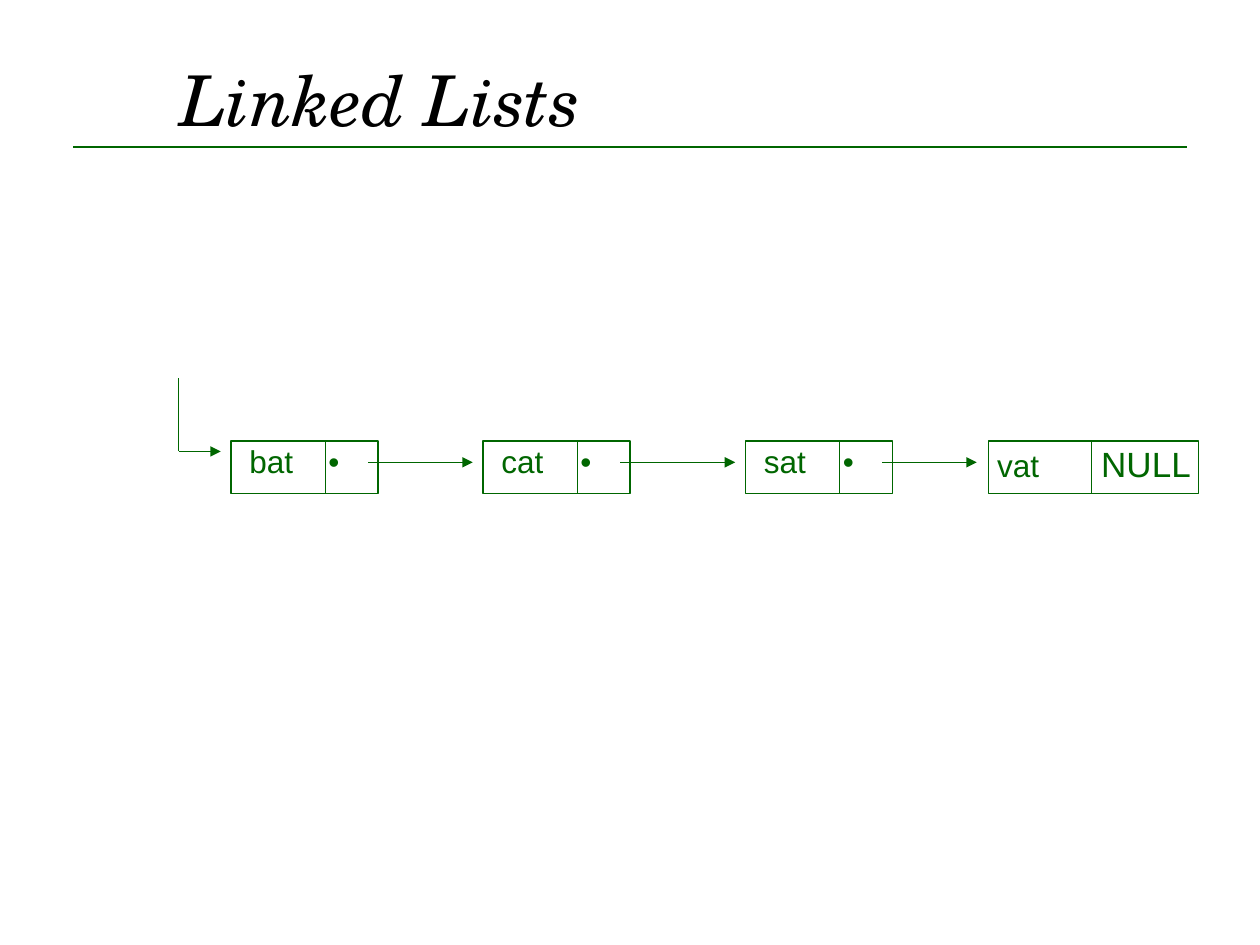
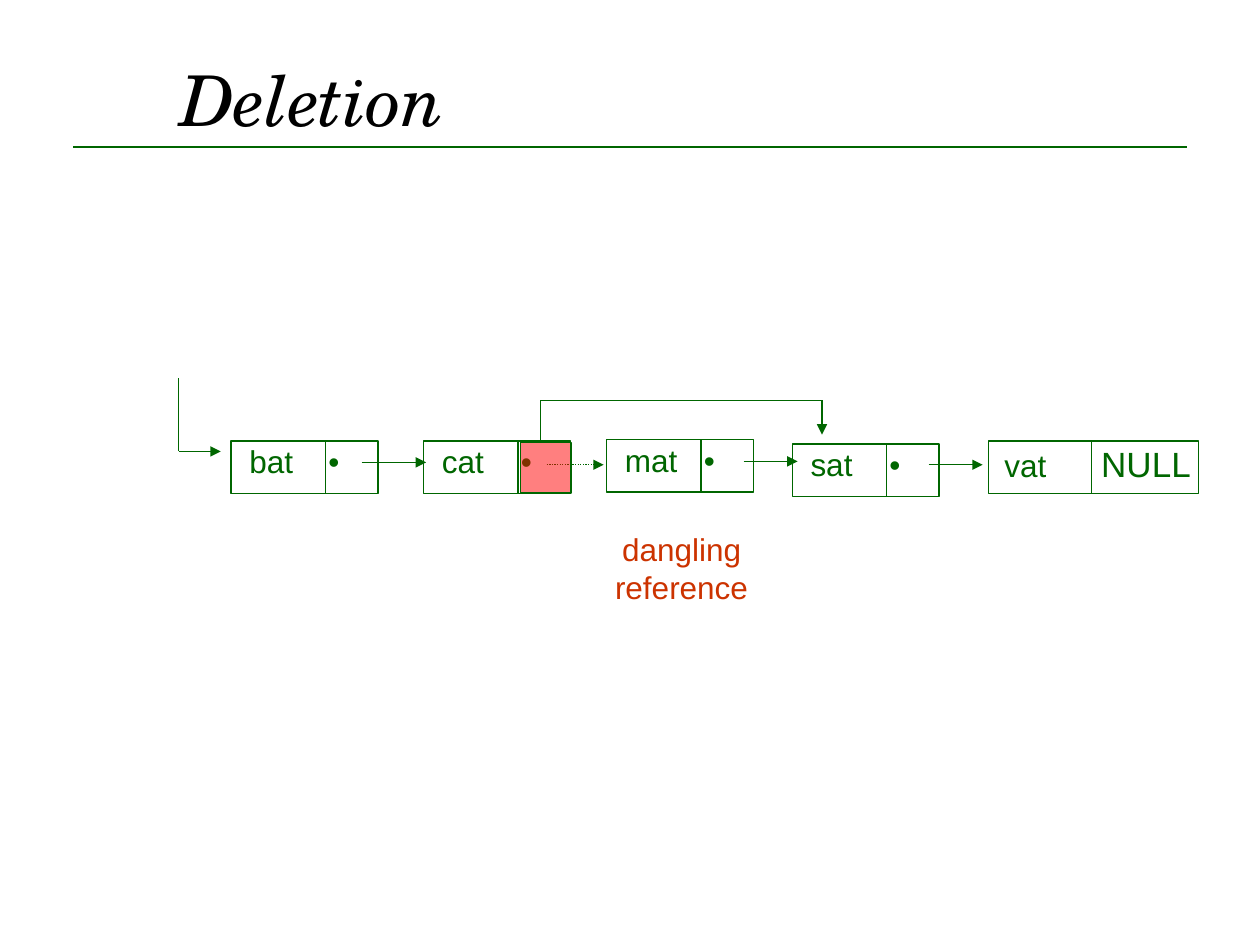
from lxml import etree
from pptx import Presentation
from pptx.dml.color import RGBColor
from pptx.enum.dml import MSO_LINE
from pptx.enum.shapes import MSO_CONNECTOR, MSO_SHAPE
from pptx.enum.text import MSO_ANCHOR, PP_ALIGN
from pptx.oxml.ns import qn
from pptx.util import Cm, Pt

GREEN, RED, RUST, BLACK = "006600", "FF0000", "CC3300", "000000"
LABEL = {"name": "Arial", "size": Pt(18)}
TITLE = {"name": "TeX Gyre Schola", "size": Pt(40), "italic": True, "bold": False}
NODE_H = 1.06
ROW_Y = 8.89
INSET = 0.41
NULL_X = 22.2


def add_line(slide, x1, y1, x2, y2, arrow=False, dash=None, width=0.75):
    """Draw a green line, optionally dashed or with an arrowhead at its end."""
    cxn = slide.shapes.add_connector(
        MSO_CONNECTOR.STRAIGHT, Cm(x1), Cm(y1), Cm(x2), Cm(y2))
    cxn.line.color.rgb = RGBColor.from_string(GREEN)
    cxn.line.width = Pt(width)
    if dash:
        cxn.line.dash_style = dash
    spPr = cxn.element.spPr
    if arrow:
        etree.SubElement(spPr.find(qn("a:ln")), qn("a:tailEnd"), type="triangle")
    etree.SubElement(spPr, qn("a:effectLst"))
    return cxn


def add_run(p, text, color, fmt):
    """Append a run with the given colour and font values."""
    r = p.add_run()
    r.text = text
    r.font.color.rgb = RGBColor.from_string(color)
    for name, value in fmt.items():
        setattr(r.font, name, value)


prs = Presentation()
prs.slide_width, prs.slide_height = Cm(25.4), Cm(19.05)
layout = prs.slide_layouts[5]

# Title; nodes as word, left, top; left of the last label;
# links as start x, end x, y, dash style
slides_data = [
    ("Linked Lists",
     [("bat", 4.66, ROW_Y), ("cat", 9.74, ROW_Y), ("sat", 15.03, ROW_Y)],
     19.69,
     [(7.42, 9.53, 9.32, None), (12.5, 14.82, 9.32, None),
      (17.78, 19.69, 9.32, None)]),
    ("Deletion",
     [("bat", 4.66, ROW_Y), ("cat", 8.54, ROW_Y), ("mat", 12.23, 8.86),
      ("sat", 15.97, 8.95)],
     19.84,
     [(7.29, 8.59, 9.32, None), (11.02, 12.17, 9.37, MSO_LINE.ROUND_DOT),
      (14.99, 16.08, 9.3, None), (18.72, 19.81, 9.37, None)]),
]

for title, words, last_x, links in slides_data:
    slide = prs.slides.add_slide(layout)

    # Title
    sp = slide.shapes.title
    sp.left, sp.top, sp.width, sp.height = Cm(3.38), Cm(0.4), Cm(21.59), Cm(3.18)
    tf = sp.text_frame
    tf.vertical_anchor = MSO_ANCHOR.MIDDLE
    p = tf.paragraphs[0]
    p.alignment = PP_ALIGN.LEFT
    add_run(p, title, BLACK, TITLE)

    # Nodes: a box, a divider and a label whose second field sits on a tab stop
    nodes = [(word, "\u2022", 18, x, y, 2.96, 1.9, x - 0.04, 1.59)
             for word, x, y in words]
    nodes.append(("vat", "NULL", 20, 19.93, ROW_Y, 4.23, 2.08,
                  last_x, NULL_X - last_x - INSET))
    for word, field, size, x, y, w, divider, text_x, tab in nodes:
        sp = slide.shapes.add_shape(
            MSO_SHAPE.RECTANGLE, Cm(x), Cm(y), Cm(w), Cm(NODE_H))
        sp.shadow.inherit = False
        sp.fill.background()
        sp.line.color.rgb = RGBColor.from_string(GREEN)
        sp.line.width = Pt(0.75)
        add_line(slide, x + divider, y, x + divider, y + NODE_H)

        box = slide.shapes.add_textbox(
            Cm(text_x), Cm(y - 0.1), Cm(w + 0.4), Cm(1.27))
        tf = box.text_frame
        tf.word_wrap = True
        tf.margin_left, tf.margin_right = Cm(INSET), 0
        p = tf.paragraphs[0]
        tabs = etree.SubElement(p._p.get_or_add_pPr(), qn("a:tabLst"))
        etree.SubElement(tabs, qn("a:tab"), pos=str(int(Cm(tab))), algn="l")
        add_run(p, word + "\t", GREEN, LABEL)
        add_run(p, field, GREEN, {**LABEL, "size": Pt(size)})

    # Head pointer and links
    add_line(slide, 3.6, 7.62, 3.6, 9.1)
    add_line(slide, 3.6, 9.1, 4.45, 9.1, arrow=True)
    for x1, x2, y, dash in links:
        add_line(slide, x1, y, x2, y, arrow=True, dash=dash)

# The rule under the title belongs to the layout, so every slide shows it
rule = add_line(slide, 1.48, 2.96, 23.93, 2.96, width=1.5)
rule.element.nvCxnSpPr.cNvPr.set("id", "50")
layout.shapes.element.append(rule.element)

# Deletion: bypass from cat to sat
bypass = [(10.9, ROW_Y), (10.9, 8.07), (16.57, 8.07), (16.57, 8.76)]
for i, (start, end) in enumerate(zip(bypass, bypass[1:])):
    add_line(slide, *start, *end, arrow=i == 2)

# Deletion: half-transparent highlight on the changed pointer
sp = slide.shapes.add_shape(
    MSO_SHAPE.RECTANGLE, Cm(10.49), Cm(8.92), Cm(1.02), Cm(1.02))
sp.shadow.inherit = False
sp.fill.solid()
sp.fill.fore_color.rgb = RGBColor.from_string(RED)
clr = sp.element.spPr.find(qn("a:solidFill"))[0]
etree.SubElement(clr, qn("a:alpha"), val="50000")
sp.line.color.rgb = RGBColor.from_string(GREEN)
sp.line.width = Pt(0.75)

# Deletion: caption under the removed node
box = slide.shapes.add_textbox(Cm(11.91), Cm(10.57), Cm(3.66), Cm(2.29))
tf = box.text_frame
tf.word_wrap = True
for i, text in enumerate(["dangling", "reference"]):
    p = tf.add_paragraph() if i else tf.paragraphs[0]
    p.alignment = PP_ALIGN.CENTER
    add_run(p, text, RUST, LABEL)

prs.save("out.pptx")
